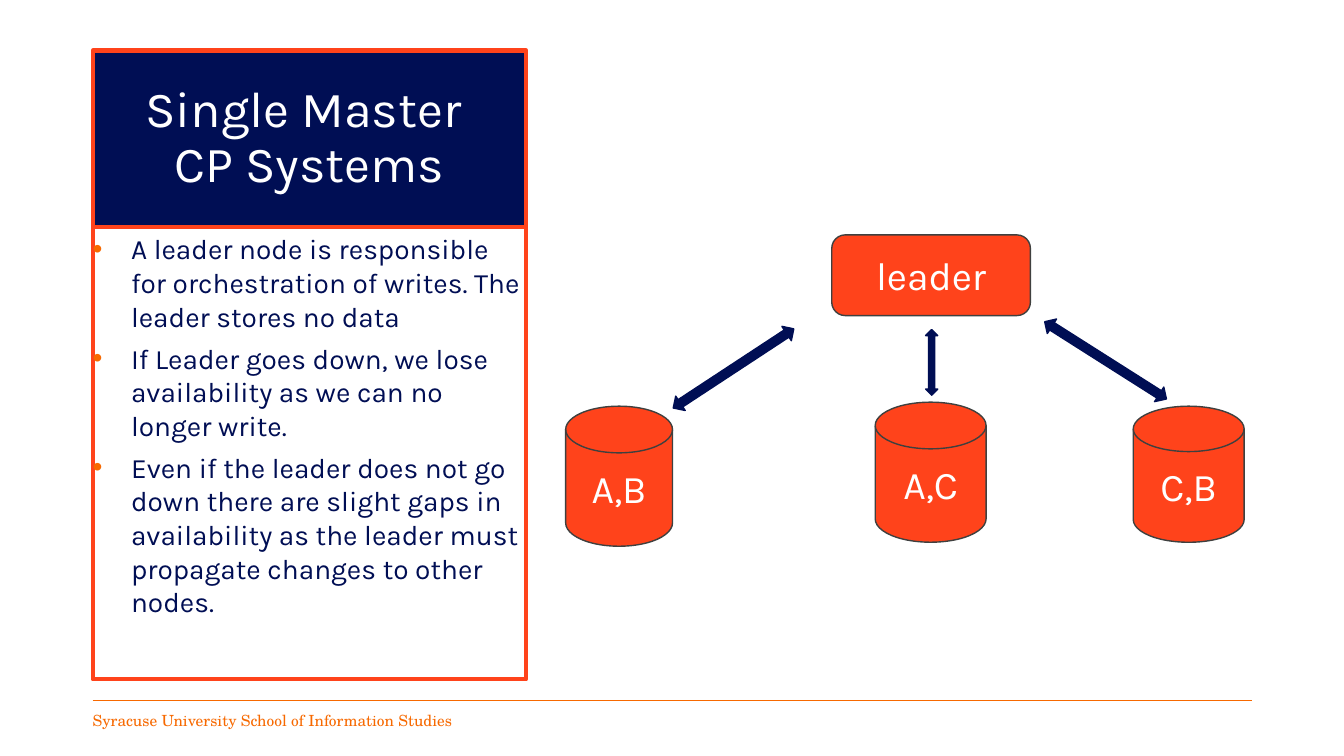
"""Build the slide on single master CP systems."""
from dataclasses import dataclass

from lxml import etree
from pptx import Presentation, util as u
from pptx.dml.color import RGBColor
from pptx.enum import shapes, text
from pptx.oxml.ns import qn


@dataclass(frozen=True)
class Theme:
    """Colours, fonts and sizes of the slide."""
    navy: str = "000E54"
    red: str = "FF431B"
    orange: str = "F76900"
    grey: str = "3F403F"
    white: str = "FFFFFF"
    sans: str = "Karla"
    serif: str = "TeX Gyre Schola"
    title: int = 36
    node: int = 28
    body: int = 20
    footer: int = 11


T = Theme()
WIDTH, HEIGHT = u.Inches(13.33), u.Inches(7.5)
LEFT, PANEL_W = 6.9, 32.25
TITLE_TOP, BODY_TOP, RULE_TOP = 6.67, 30, 92.67
SHAPE = shapes.MSO_SHAPE

BULLETS = [
    "A leader node is responsible for orchestration of writes. The leader stores no data",
    "If Leader goes down, we lose availability as we can no longer write.",
    "Even if the leader does not go down there are slight gaps in availability "
    "as the leader must propagate changes to other nodes.",
]
NODES = [
    (SHAPE.FLOWCHART_MAGNETIC_DISK, "A,B", (42.09, 53.73, 7.95, 18.53)),
    (SHAPE.FLOWCHART_MAGNETIC_DISK, "A,C", (65.12, 53.2, 8.25, 18.53)),
    (SHAPE.FLOWCHART_MAGNETIC_DISK, "C,B", (84.32, 53.73, 8.25, 18)),
    (SHAPE.ROUNDED_RECTANGLE, "leader", (61.89, 31.07, 14.78, 10.67)),
]
ARROWS = [
    ((53.94, 39.2, 1.28, 19.07), 56.7),
    ((81.62, 38.13, 1.28, 19.07), 302.4),
    ((68.87, 43.6, 0.9, 8.67), 0),
]


def box(x, y, w, h):
    """Turn percentages of the slide's size into lengths."""
    return (int(WIDTH * x / 100), int(HEIGHT * y / 100),
            int(WIDTH * w / 100), int(HEIGHT * h / 100))


def paint(sp, fill, line, width):
    """Set the fill and outline of a shape; no fill when None."""
    if fill:
        sp.fill.solid()
        sp.fill.fore_color.rgb = RGBColor.from_string(fill)
    else:
        sp.fill.background()
    sp.line.color.rgb = RGBColor.from_string(line)
    sp.line.width = u.Pt(width)


def add_shape(s, kind, place, fill, line, width=1):
    """Add a painted preset shape without shadow."""
    sp = s.shapes.add_shape(kind, *box(*place))
    sp.shadow.inherit = False
    paint(sp, fill, line, width)
    return sp


def add_run(p, words, size, color, font=T.sans):
    """Add one formatted run to a paragraph."""
    r = p.add_run()
    r.text = words
    r.font.size = u.Pt(size)
    r.font.name = font
    r.font.color.rgb = RGBColor.from_string(color)


def set_frame(tf, anchor, wrap=True):
    """Give a text frame flush sides, an anchor and a wrap."""
    tf.auto_size = text.MSO_AUTO_SIZE.NONE
    tf.margin_left = tf.margin_right = 0
    tf.margin_top = tf.margin_bottom = u.Inches(0.05)
    tf.vertical_anchor = anchor
    tf.word_wrap = wrap


def add_bullet(p):
    """Give a paragraph a hanging orange bullet."""
    pPr = p._p.get_or_add_pPr()
    pPr.set("marL", str(u.Inches(0.38)))
    pPr.set("indent", str(-u.Inches(0.38)))
    color = etree.SubElement(pPr, qn("a:buClr"))
    etree.SubElement(color, qn("a:srgbClr")).set("val", T.orange)
    etree.SubElement(pPr, qn("a:buFont")).set("typeface", "Arial")
    etree.SubElement(pPr, qn("a:buChar")).set("char", "•")


def add_title(s):
    """Place and format the title placeholder."""
    sp = s.shapes.title
    sp.left, sp.top, sp.width, sp.height = box(LEFT, TITLE_TOP, PANEL_W, BODY_TOP - TITLE_TOP)
    paint(sp, T.navy, T.red, 3)
    tf = sp.text_frame
    set_frame(tf, text.MSO_ANCHOR.MIDDLE)
    p = tf.paragraphs[0]
    p.alignment = text.PP_ALIGN.CENTER
    p.line_spacing = 0.9
    add_run(p, "Single Master ", T.title, T.white)
    p.add_line_break()
    add_run(p, "CP Systems", T.title, T.white)


def add_body(s):
    """Add the outlined panel of bullets."""
    sp = add_shape(s, SHAPE.RECTANGLE, (LEFT, BODY_TOP, PANEL_W, 59.87), None, T.red, 3)
    tf = sp.text_frame
    set_frame(tf, text.MSO_ANCHOR.TOP)
    for i, words in enumerate(BULLETS):
        p = tf.add_paragraph() if i else tf.paragraphs[0]
        add_bullet(p)
        p.alignment = text.PP_ALIGN.LEFT
        p.space_before = u.Pt(6 if i else 0)
        add_run(p, words, T.body, T.navy)


def add_node(s, kind, label, place):
    """Add a labelled node of the diagram."""
    tf = add_shape(s, kind, place, T.red, T.grey).text_frame
    tf.vertical_anchor = text.MSO_ANCHOR.MIDDLE
    p = tf.paragraphs[0]
    p.alignment = text.PP_ALIGN.CENTER
    add_run(p, label, T.node, T.white)


def add_footer(s):
    """Add the rule and the school's name below it."""
    x, y, w, h = box(LEFT, RULE_TOP, 86.25, 5.33)
    rule = s.shapes.add_connector(shapes.MSO_CONNECTOR.STRAIGHT, x, y, x + w, y)
    rule.line.color.rgb = RGBColor.from_string(T.orange)
    rule.line.width = u.Pt(0.5)
    etree.SubElement(rule._element.spPr, qn("a:effectLst"))
    tf = s.shapes.add_textbox(*box(LEFT, RULE_TOP, 24.53, 5.33)).text_frame
    set_frame(tf, text.MSO_ANCHOR.MIDDLE, wrap=False)
    add_run(tf.paragraphs[0], "Syracuse University School of Information Studies",
            T.footer, T.orange, T.serif)


def main():
    """Build and save the slide."""
    prs = Presentation()
    prs.slide_width, prs.slide_height = WIDTH, HEIGHT
    s = prs.slides.add_slide(prs.slide_layouts.get_by_name("Title Only"))
    add_footer(s)
    add_title(s)
    add_body(s)
    for place, angle in ARROWS:
        add_shape(s, SHAPE.UP_DOWN_ARROW, place, T.navy, T.navy).rotation = angle
    for kind, label, place in NODES:
        add_node(s, kind, label, place)
    prs.save("out.pptx")


if __name__ == "__main__":
    main()
